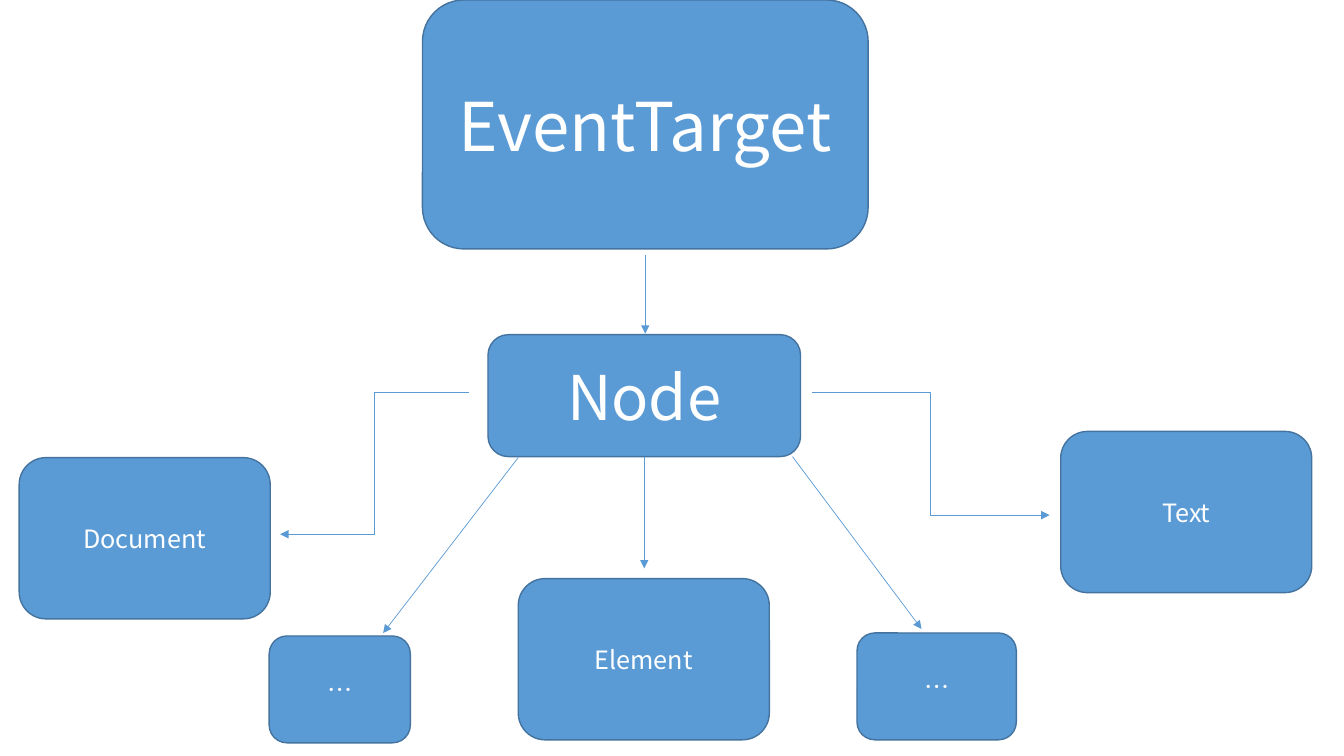
from lxml import etree
from pptx import Presentation
from pptx.dml.color import RGBColor
from pptx.enum.shapes import MSO_CONNECTOR, MSO_SHAPE
from pptx.enum.text import MSO_ANCHOR, PP_ALIGN
from pptx.oxml.ns import qn
from pptx.util import Inches, Pt

ROUNDED = MSO_SHAPE.ROUNDED_RECTANGLE
STRAIGHT = MSO_CONNECTOR.STRAIGHT
ELBOW = MSO_CONNECTOR.ELBOW
MIDDLE = MSO_ANCHOR.MIDDLE
CENTER = PP_ALIGN.CENTER

FONT = "Noto Sans CJK KR"
BLUE = "5B9BD5"
DARK_BLUE = "43739E"
WHITE = "FFFFFF"


def color(value):
    return RGBColor.from_string(value)


presentation = Presentation()
presentation.slide_width = Inches(13.33)
presentation.slide_height = Inches(7.5)
slide = presentation.slides.add_slide(presentation.slide_layouts[6])

# Interface boxes: name, left, top, width, height, text size
LEAF = (2.49, 1.6, 18)
boxes = [
    ("EventTarget", 4.19, 0, 4.42, 2.47, 48),
    ("Node", 4.84, 3.32, 3.1, 1.21, 44),
    ("Document", 0.19, 4.54, *LEAF),
    ("Element", 5.14, 5.74, *LEAF),
    ("Text", 10.52, 4.28, *LEAF),
    ("…", 2.67, 6.31, 1.4, 1.06, 18),
    ("…", 8.5, 6.28, 1.58, 1.06, 18),
]
for name, left, top, width, height, size in boxes:
    box = slide.shapes.add_shape(
        ROUNDED, Inches(left), Inches(top), Inches(width), Inches(height))
    box.shadow.inherit = False
    box.fill.solid()
    box.fill.fore_color.rgb = color(BLUE)
    box.line.color.rgb = color(DARK_BLUE)
    box.line.width = Pt(1)
    box.text_frame.word_wrap = True
    box.text_frame.vertical_anchor = MIDDLE
    paragraph = box.text_frame.paragraphs[0]
    paragraph.alignment = CENTER
    run = paragraph.add_run()
    run.text = name
    for attribute, value in {"name": FONT, "size": Pt(size)}.items():
        setattr(run.font, attribute, value)
    run.font.color.rgb = color(WHITE)
    # East Asian font, used for the ellipsis
    etree.SubElement(run.font._element, qn("a:ea"), typeface=FONT)

# Inheritance arrows: kind, start x, start y, end x, end y
arrows = [
    (STRAIGHT, 6.4, 2.53, 6.4, 3.31),
    (ELBOW, 8.05, 3.89, 10.41, 5.11),
    (ELBOW, 4.65, 3.89, 2.78, 5.3),
    (STRAIGHT, 6.39, 4.53, 6.39, 5.64),
    (STRAIGHT, 5.14, 4.54, 3.8, 6.28),
    (STRAIGHT, 7.86, 4.53, 9.14, 6.24),
]
for kind, *ends in arrows:
    arrow = slide.shapes.add_connector(kind, *map(Inches, ends))
    arrow.line.color.rgb = color(BLUE)
    arrow.line.width = Pt(0.5)
    etree.SubElement(arrow.line._get_or_add_ln(), qn("a:tailEnd"), type="triangle")
    etree.SubElement(arrow._element.spPr, qn("a:effectLst"))

presentation.save("out.pptx")
